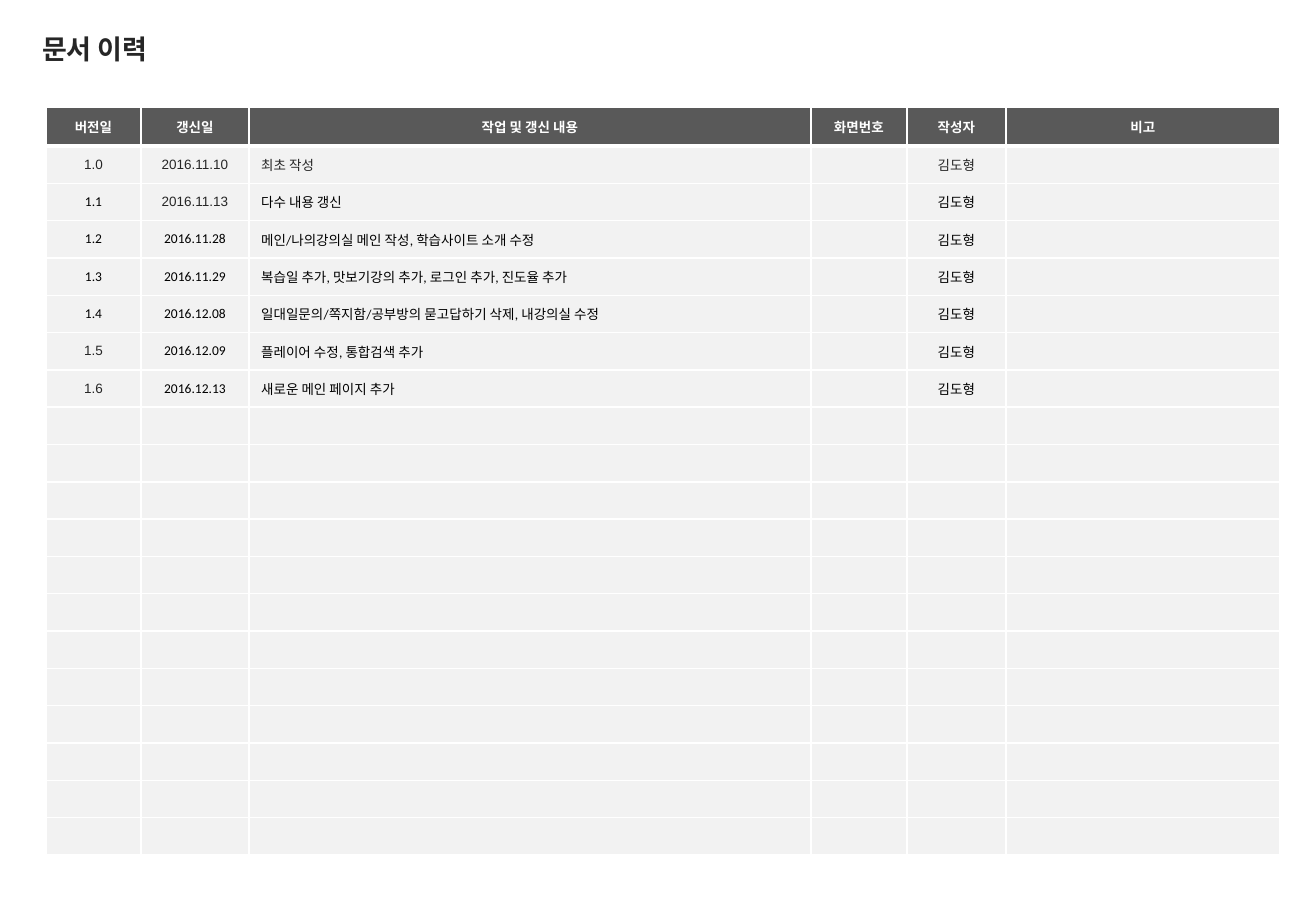
"""Build the document history slide: a title and a revision table."""
from lxml import etree
from pptx import Presentation
from pptx.dml.color import RGBColor
from pptx.enum.text import MSO_ANCHOR, PP_ALIGN
from pptx.oxml.ns import qn
from pptx.util import Pt

PX = 914400 / 121.5
MIDDLE = MSO_ANCHOR.MIDDLE
LEFT, CENTER = PP_ALIGN.LEFT, PP_ALIGN.CENTER
COLORS = {"header": "595959", "body": "F2F2F2", "border": "FFFFFF",
          "header_text": "FFFFFF", "dark": "262626", "black": "000000"}

HEADERS = ["버전일", "갱신일", "작업 및 갱신 내용", "화면번호", "작성자", "비고"]
AUTHOR = "김도형"
REVISIONS = [
    ("1.0", "2016.11.10", "최초 작성"),
    ("1.1", "2016.11.13", "다수 내용 갱신"),
    ("1.2", "2016.11.28", "메인/나의강의실 메인 작성, 학습사이트 소개 수정"),
    ("1.3", "2016.11.29", "복습일 추가, 맛보기강의 추가, 로그인 추가, 진도율 추가"),
    ("1.4", "2016.12.08", "일대일문의/쪽지함/공부방의 묻고답하기 삭제, 내강의실 수정"),
    ("1.5", "2016.12.09", "플레이어 수정, 통합검색 추가"),
    ("1.6", "2016.12.13", "새로운 메인 페이지 추가"),
]
ARIAL_CELLS = {(1, 0), (1, 1), (1, 2), (1, 4), (2, 1), (6, 0), (7, 0)}
COLUMN_WIDTHS = [95, 108, 562, 96, 99, 274]
BODY_ROWS = 19
HEADER_HEIGHT, BODY_HEIGHT = 39, 709
DETAIL_COLUMN = 2


def px(length):
    return round(length * PX)


def style_span(span, size, name, color, bold):
    span.font.size = Pt(size)
    span.font.name = name
    span.font.bold = bold
    span.font.color.rgb = RGBColor.from_string(COLORS[color])


deck = Presentation()
deck.slide_width, deck.slide_height = px(1316), px(911)
page = deck.slides.add_slide(deck.slide_layouts[5])

title = page.shapes.title
title.left, title.top, title.width, title.height = px(30), px(26), px(303), px(49)
title.text_frame.text = "문서 이력"
title.text_frame.vertical_anchor = MIDDLE
heading = title.text_frame.paragraphs[0]
heading.alignment = LEFT
heading.line_spacing = 0.9
style_span(heading.runs[0], 16, "Calibri", "dark", True)

rows = [HEADERS] + [[*revision, "", AUTHOR, ""] for revision in REVISIONS]
rows += [[""] * len(HEADERS)] * (1 + BODY_ROWS - len(rows))

frame = page.shapes.add_table(len(rows), len(HEADERS), px(46), px(107),
                              px(sum(COLUMN_WIDTHS)), px(HEADER_HEIGHT + BODY_HEIGHT))
table = frame.table
for column, width in zip(table.columns, COLUMN_WIDTHS):
    column.width = px(width)
for row in table.rows:
    row.height = px(BODY_HEIGHT / BODY_ROWS)
table.rows[0].height = px(HEADER_HEIGHT)

for row_index, texts in enumerate(rows):
    is_header = row_index == 0
    for column_index, text in enumerate(texts):
        cell = table.cell(row_index, column_index)
        cell.vertical_anchor = MIDDLE
        para = cell.text_frame.paragraphs[0]
        para.text = text
        para.alignment = LEFT if column_index == DETAIL_COLUMN and not is_header else CENTER

        if is_header:
            look = ("Arial", "header_text", True)
        elif (row_index, column_index) in ARIAL_CELLS:
            look = ("Arial", "dark", False)
        else:
            look = ("Calibri", "black", False)
        for span in para.runs:
            style_span(span, 8, *look)
        if not text:
            etree.SubElement(para._p, qn("a:endParaRPr"), sz="800")

        properties = cell._tc.get_or_add_tcPr()
        for side in ("L", "R", "T", "B"):
            thick = (row_index, side) in {(0, "B"), (1, "T")}
            border = etree.SubElement(properties, qn(f"a:ln{side}"), w=str(Pt(3 if thick else 1)))
            fill = etree.SubElement(border, qn("a:solidFill"))
            etree.SubElement(fill, qn("a:srgbClr"), val=COLORS["border"])
        cell.fill.solid()
        cell.fill.fore_color.rgb = RGBColor.from_string(COLORS["header" if is_header else "body"])

deck.save("out.pptx")
